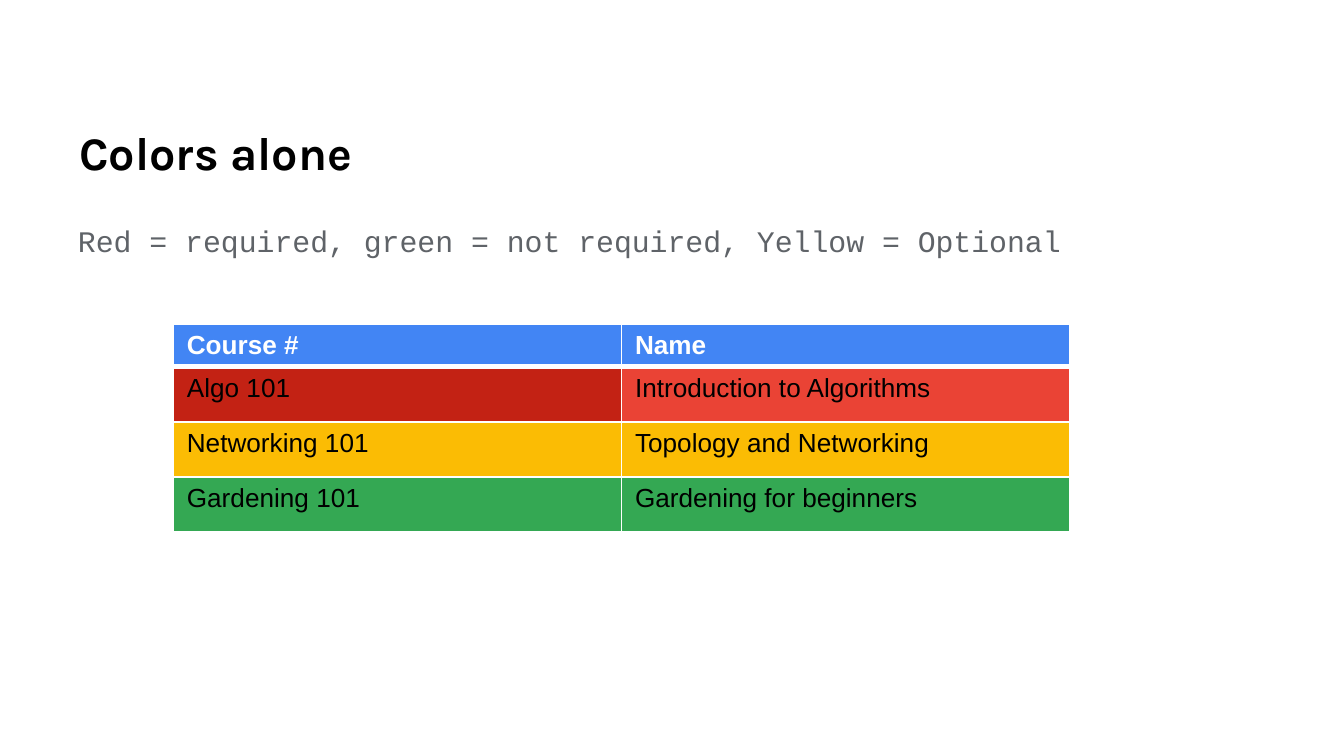
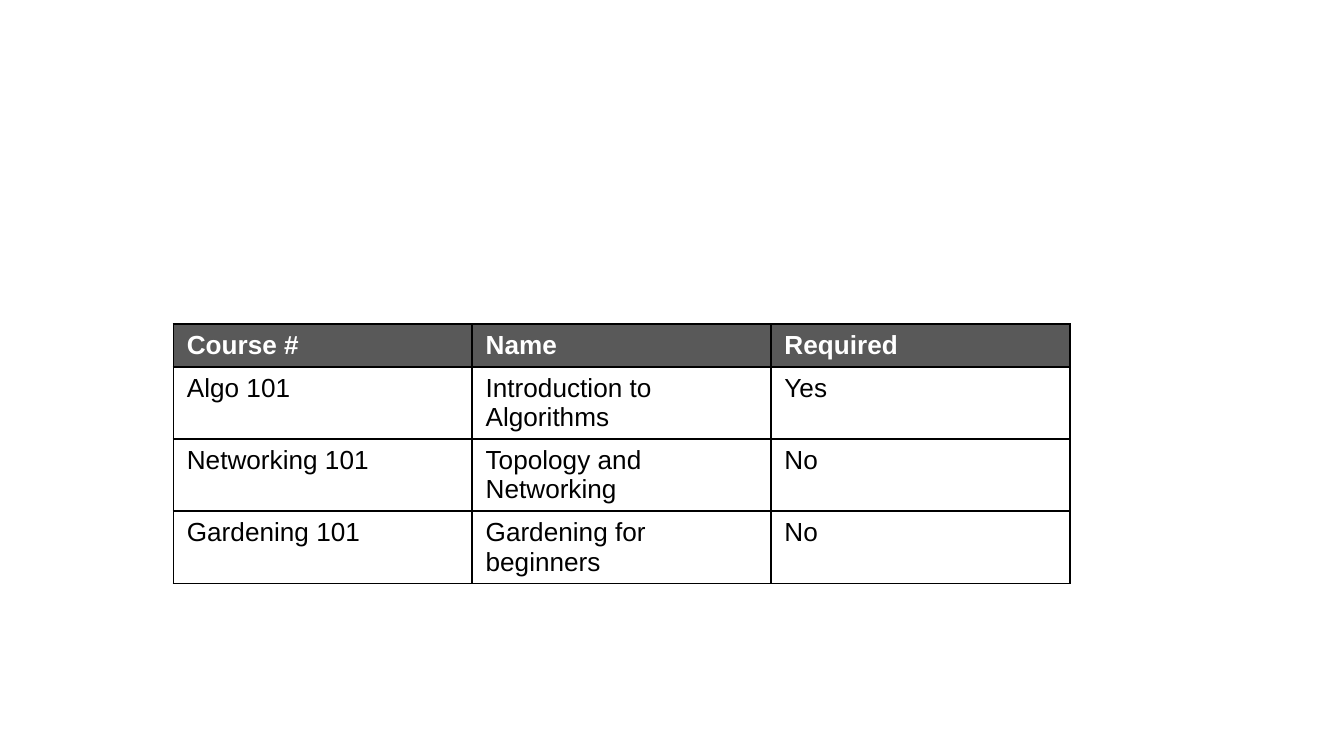
from lxml import etree
from pptx import Presentation
from pptx.dml.color import RGBColor
from pptx.enum.text import MSO_ANCHOR as Anchor, MSO_AUTO_SIZE as AutoSize, PP_ALIGN as Align
from pptx.oxml.ns import qn
from pptx.util import Inches, Pt

BLACK, WHITE, GREY = "000000", "FFFFFF", "5F6368"
BLUE, DARK_RED, RED = "4285F4", "C32214", "EA4335"
YELLOW, GREEN, DARK_GREY = "FBBC04", "34A853", "595959"
TITLE_FONT, BODY_FONT, TABLE_FONT = "Karla", "Courier New", "Arial"
CONTENT_LAYOUT, BLANK_LAYOUT = 1, 6

COURSES = [
    ("Algo 101", "Introduction to Algorithms"),
    ("Networking 101", "Topology and Networking"),
    ("Gardening 101", "Gardening for beginners"),
]
HEADINGS = ("Course #", "Name")


def color(value):
    return RGBColor.from_string(value)


class Deck:
    """Holds the shared style and the current slide."""

    def __init__(self):
        self.presentation = Presentation()
        # Widescreen, 16 to 9
        self.presentation.slide_width = Inches(10)
        self.presentation.slide_height = Inches(10) * 9 // 16
        self.slide = None

    def add_slide(self, layout):
        layouts = self.presentation.slide_layouts
        self.slide = self.presentation.slides.add_slide(layouts[layout])
        background = self.slide.background.fill
        background.solid()
        background.fore_color.rgb = color(WHITE)

    def style(self, paragraph, font, size, fill, bold=False):
        paragraph.font.name = font
        paragraph.font.size = Pt(size)
        paragraph.font.bold = bold
        paragraph.font.color.rgb = color(fill)

    def place(self, shape, text, box, anchor):
        shape.left, shape.top, shape.width, shape.height = map(Inches, box)
        frame = shape.text_frame
        frame.margin_left = frame.margin_right = Inches(0.1)
        frame.margin_top = frame.margin_bottom = Inches(0.1)
        frame.word_wrap = True
        frame.auto_size = AutoSize.NONE
        frame.vertical_anchor = anchor
        frame.text = text
        paragraph = frame.paragraphs[0]
        paragraph.alignment = Align.LEFT
        paragraph.space_before = Pt(0)
        return paragraph

    def title(self, text):
        paragraph = self.place(self.slide.shapes.title, text, (0.49, 0.61, 4.42, 0.83), Anchor.BOTTOM)
        self.style(paragraph, TITLE_FONT, 25, BLACK, bold=True)

    def body(self, text):
        paragraph = self.place(self.slide.placeholders[1], text, (0.34, 1.52, 7.87, 3.48), Anchor.TOP)
        paragraph.line_spacing = 1.15
        properties = paragraph._p.get_or_add_pPr()
        properties.set("marL", str(Inches(0.14)))
        properties.set("indent", "0")
        etree.SubElement(properties, qn("a:buNone"))
        self.style(paragraph, BODY_FONT, 16, GREY)

    def borders(self, cell, line_color, top, bottom):
        properties = cell._tc.get_or_add_tcPr()
        for side, width in zip("LRTB", (1, 1, top, bottom)):
            line = etree.SubElement(properties, qn(f"a:ln{side}"), w=str(Pt(width)))
            fill = etree.SubElement(line, qn("a:solidFill"))
            etree.SubElement(fill, qn("a:srgbClr"), val=line_color)

    def table(self, rows, fills, line_color, header_line=1):
        """Each entry of fills lists the cell colours of one row; None is clear."""
        column_count = len(rows[0])
        width, header_height, row_height = 6.67, 0.32, 0.41
        height = header_height + row_height * (len(rows) - 1)
        table = self.slide.shapes.add_table(
            len(rows), column_count, Inches(1.29), Inches(2.41), Inches(width), Inches(height)
        ).table
        for column in table.columns:
            column.width = Inches(width / column_count)
        for i, (texts, row_fills) in enumerate(zip(rows, fills)):
            header = i == 0
            table.rows[i].height = Inches(header_height if header else row_height)
            for j, (text, fill) in enumerate(zip(texts, row_fills)):
                cell = table.cell(i, j)
                self.borders(cell, line_color,
                             top=header_line if i == 1 else 1,
                             bottom=header_line if header else 1)
                if fill:
                    cell.fill.solid()
                    cell.fill.fore_color.rgb = color(fill)
                else:
                    cell.fill.background()
                cell.text = text
                self.style(cell.text_frame.paragraphs[0], TABLE_FONT, 14,
                           WHITE if header else BLACK, bold=header)


def main():
    deck = Deck()

    # Meaning carried by colour only
    deck.add_slide(CONTENT_LAYOUT)
    deck.title("Colors alone")
    deck.body("Red = required, green = not required, Yellow = Optional")
    deck.table(
        [HEADINGS, *COURSES],
        [(BLUE, BLUE), (DARK_RED, RED), (YELLOW, YELLOW), (GREEN, GREEN)],
        WHITE, header_line=3,
    )

    # Meaning carried by a column of its own
    deck.add_slide(BLANK_LAYOUT)
    required = ("Yes", "No", "No")
    deck.table(
        [(*HEADINGS, "Required"), *((*course, answer) for course, answer in zip(COURSES, required))],
        [(DARK_GREY,) * 3] + [(None,) * 3] * len(COURSES),
        BLACK,
    )

    deck.presentation.save("out.pptx")


if __name__ == "__main__":
    main()
